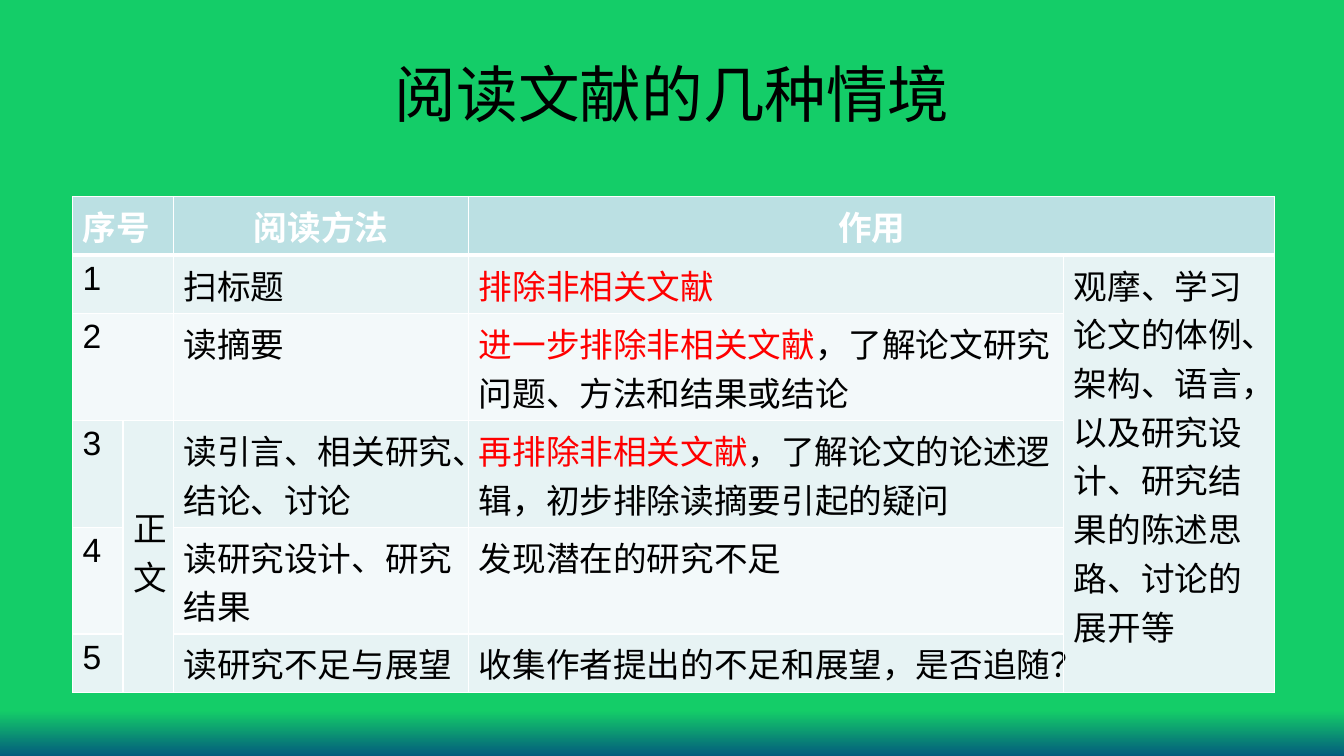
from typing import NamedTuple

from lxml import etree
from pptx import Presentation
from pptx.dml.color import RGBColor
from pptx.enum.text import MSO_ANCHOR, PP_ALIGN
from pptx.oxml.ns import qn
from pptx.util import Inches, Pt

CENTER, LEFT = PP_ALIGN.CENTER, PP_ALIGN.LEFT
MIDDLE, TOP = MSO_ANCHOR.MIDDLE, MSO_ANCHOR.TOP
BLACK, WHITE, RED = "000000", "FFFFFF", "FF0000"
HEAD, BANDS = "BBE0E3", ("E7F3F4", "F3F9FA")
GREEN, BLUE = "14CD68", "035C7D"
COLS = (0.5, 0.5, 2.93, 5.9, 2.09)
ROWS = (0.58, 0.58, 1.06, 1.06, 1.06, 0.58)


class Entry(NamedTuple):
    """One table cell: its place, text, leading red text and span."""
    row: int
    col: int
    text: str
    red: str = ""
    down: int = 1
    wide: int = 1
    align: PP_ALIGN = LEFT
    anchor: MSO_ANCHOR = TOP


ENTRIES = (
    Entry(0, 0, "序号", wide=2),
    Entry(0, 2, "阅读方法", align=CENTER),
    Entry(0, 3, "作用", wide=2, align=CENTER),
    Entry(1, 0, "1", wide=2),
    Entry(1, 2, "扫标题"),
    Entry(1, 3, "", "排除非相关文献"),
    Entry(1, 4, "观摩、学习论文的体例、架构、语言，以及研究设计、"
          "研究结果的陈述思路、讨论的展开等", down=5),
    Entry(2, 0, "2", wide=2),
    Entry(2, 2, "读摘要"),
    Entry(2, 3, "，了解论文研究问题、方法和结果或结论", "进一步排除非相关文献"),
    Entry(3, 0, "3"),
    Entry(3, 1, "正文", down=3, anchor=MIDDLE),
    Entry(3, 2, "读引言、相关研究、结论、讨论"),
    Entry(3, 3, "，了解论文的论述逻辑，初步排除读摘要引起的疑问", "再排除非相关文献"),
    Entry(4, 0, "4"),
    Entry(4, 2, "读研究设计、研究结果"),
    Entry(4, 3, "发现潜在的研究不足"),
    Entry(5, 0, "5"),
    Entry(5, 2, "读研究不足与展望"),
    Entry(5, 3, "收集作者提出的不足和展望，是否追随？"),
)


def paint(target, color: str) -> None:
    """Give a colour format the hex colour."""
    target.rgb = RGBColor.from_string(color)


def put(target, values: dict) -> None:
    """Set each attribute from a dict of format values."""
    for name, value in values.items():
        setattr(target, name, value)


def write(para, text: str, color: str, size: int, bold: bool = False) -> None:
    """Add one run of text to a paragraph."""
    run = para.add_run()
    run.text = text
    put(run.font, {"name": "Arial", "size": Pt(size), "bold": bold})
    paint(run.font.color, color)


def edge(cell, row: int) -> None:
    """Draw white borders, thicker under the header row."""
    props = cell._tc.get_or_add_tcPr()
    widths = {"L": 1, "R": 1, "T": 3 if row == 1 else 1, "B": 3 if row == 0 else 1}
    for place, (side, width) in enumerate(widths.items()):
        line = etree.Element(qn(f"a:ln{side}"), w=str(Pt(width)))
        fill = etree.SubElement(line, qn("a:solidFill"))
        etree.SubElement(fill, qn("a:srgbClr"), val=WHITE)
        props.insert(place, line)


def shade(cell, row: int) -> None:
    """Fill a cell with the colour of its row and draw its borders."""
    cell.fill.solid()
    paint(cell.fill.fore_color, HEAD if row == 0 else BANDS[(row - 1) % 2])
    edge(cell, row)


def enter(table, item: Entry) -> None:
    """Merge and write one table entry."""
    cell = table.cell(item.row, item.col)
    if item.down * item.wide > 1:
        cell.merge(table.cell(item.row + item.down - 1, item.col + item.wide - 1))
    cell.vertical_anchor = item.anchor
    if item.anchor == MIDDLE:
        cell.margin_bottom = Inches(0.15)
    para = cell.text_frame.paragraphs[0]
    para.alignment = item.align
    head = item.row == 0
    for text, color in ((item.red, RED), (item.text, WHITE if head else BLACK)):
        if text:
            write(para, text, color, 24, head)


def add_grid(slide) -> None:
    """Build the table of reading methods."""
    table = slide.shapes.add_table(
        len(ROWS), len(COLS), Inches(0.72), Inches(1.95),
        Inches(sum(COLS)), Inches(sum(ROWS))).table
    put(table, {"first_row": False, "horz_banding": False})
    for col, width in zip(table.columns, COLS):
        col.width = Inches(width)
    for index, height in enumerate(ROWS):
        table.rows[index].height = Inches(height)
        for cell in table.rows[index].cells:
            shade(cell, index)
    for item in ENTRIES:
        enter(table, item)


def add_title(slide, text: str) -> None:
    """Write the centred slide title."""
    box = slide.shapes.add_textbox(Inches(0.67), Inches(0.3), Inches(12), Inches(1.25))
    put(box.text_frame, {"word_wrap": True, "vertical_anchor": MIDDLE})
    para = box.text_frame.paragraphs[0]
    para.alignment = CENTER
    write(para, text, BLACK, 44)


def add_ground(slide) -> None:
    """Fill the background green, fading to blue at the foot."""
    fill = slide.background.fill
    fill.gradient()
    fill.gradient_angle = 270
    for stop, (place, color) in zip(fill.gradient_stops, ((0.94, GREEN), (1, BLUE))):
        stop.position = place
        paint(stop.color, color)


def main() -> None:
    """Build and save the slide."""
    deck = Presentation()
    put(deck, {"slide_width": Inches(13.33), "slide_height": Inches(7.5)})
    slide = deck.slides.add_slide(deck.slide_layouts[6])
    add_ground(slide)
    add_title(slide, "阅读文献的几种情境")
    add_grid(slide)
    deck.save("out.pptx")


main()
